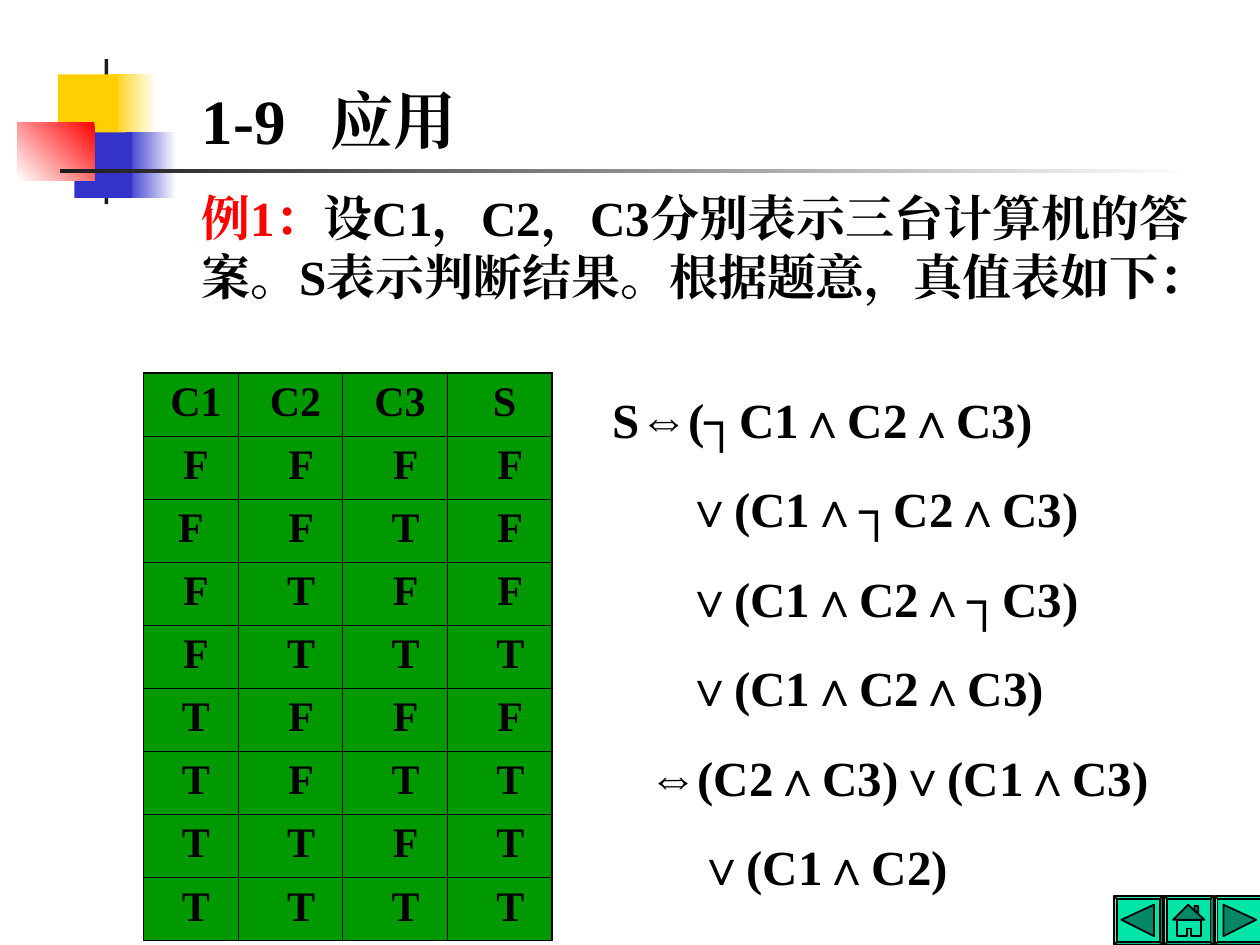
from dataclasses import dataclass

from lxml import etree
from pptx import Presentation
from pptx.dml.color import RGBColor
from pptx.enum.shapes import MSO_SHAPE as Shape
from pptx.enum.text import MSO_ANCHOR as Anchor, MSO_AUTO_SIZE as AutoSize, PP_ALIGN as Align
from pptx.oxml.ns import qn
from pptx.util import Inches, Pt


@dataclass(frozen=True)
class Theme:
    font: str = "Times New Roman"
    symbol_font: str = "Arial"
    black: str = "000000"
    white: str = "FFFFFF"
    ink: str = "1C1C1C"
    red: str = "FF0000"
    yellow: str = "FFCF01"
    blue: str = "3333CC"
    cell: str = "009900"
    button: str = "00E4A8"
    icon: str = "008866"
    title: int = 36
    body: int = 28
    table: int = 24
    gap: float = 17.5
    outer: float = 1.08
    inner: float = 0.45


T = Theme()
TRUTH = ["FFFF", "FFTF", "FTFF", "FTTT", "TFFF", "TFTT", "TTFT", "TTTT"]
FORMULA = [
    (0, ["S", "⇔", "(┐C1∧C2∧C3)"]),
    (0.58, ["∨(C1∧┐C2∧C3)"]),
    (0.58, ["∨(C1∧C2∧┐C3)"]),
    (0.58, ["∨(C1∧C2∧C3)"]),
    (0.29, ["⇔", "(C2∧C3)∨(C1∧C3)"]),
    (0.68, ["∨(C1∧C2)"]),
]


def rgb(code):
    return RGBColor.from_string(code)


def box(*lengths):
    return [Inches(v) for v in lengths]


def add_run(p, text, size, color=T.black, font=T.font):
    r = p.add_run()
    r.text = text
    r.font.size, r.font.bold, r.font.name = Pt(size), True, font
    r.font.color.rgb = rgb(color)
    etree.SubElement(r.font._element, qn("a:ea"), typeface=font)


def fill_solid(sp, color):
    sp.shadow.inherit = False
    sp.fill.solid()
    sp.fill.fore_color.rgb = rgb(color)


def add_bar(s, at, *colors, angle=180):
    """A borderless rectangle: one colour is plain, two make a gradient."""
    sp = s.shapes.add_shape(Shape.RECTANGLE, *box(*at))
    fill_solid(sp, colors[0])
    sp.line.fill.background()
    if len(colors) == 2:
        sp.fill.gradient()
        sp.fill.gradient_angle = angle
        for stop, color in zip(sp.fill.gradient_stops, colors):
            stop.color.rgb = rgb(color)


def add_decoration(s):
    add_bar(s, (0.88, 0.59, 0.36, 0.52), T.white, T.yellow)
    add_bar(s, (1, 1.05, 0.4, 0.52), T.white, T.blue)
    add_bar(s, (0.83, 0.47, 0.03, 1.15), T.ink)
    add_bar(s, (0.46, 0.59, 0.48, 0.52), T.yellow)
    add_bar(s, (0.59, 1.05, 0.46, 0.52), T.blue)
    add_bar(s, (0.14, 0.97, 0.61, 0.46), T.red, T.white, angle=225)
    add_bar(s, (0.48, 1.34, 9, 0.03), T.white, T.ink)


def add_icon(s, left, top, points, color=T.icon):
    pts = [(Inches(left + x), Inches(top + y)) for x, y in points]
    builder = s.shapes.build_freeform(*pts[0])
    builder.add_line_segments(pts[1:], close=True)
    sp = builder.convert_to_shape()
    fill_solid(sp, color)
    sp.line.color.rgb, sp.line.width = rgb(T.black), Pt(1)


def add_buttons(s):
    back = [(0.06, 0.19), (0.32, 0.07), (0.32, 0.32)]
    forward = [(0.39 - x, y) for x, y in back]
    chimney = [(0.24, 0.11), (0.24, 0.08), (0.27, 0.08), (0.27, 0.15)]
    roof = [(0.19, 0.07), (0.32, 0.19), (0.07, 0.19)]
    walls = [(0.1, 0.19), (0.29, 0.19), (0.29, 0.32), (0.21, 0.32),
             (0.21, 0.26), (0.18, 0.26), (0.18, 0.32), (0.1, 0.32)]
    home = [(chimney, T.icon), (walls, T.button), (roof, T.icon)]
    top = 7.11
    for i, icons in enumerate([[(back, T.icon)], home, [(forward, T.icon)]]):
        left = 8.84 + 0.4 * i
        sp = s.shapes.add_shape(Shape.BEVEL, *box(left, top, 0.39, 0.39))
        sp.adjustments[0] = 0.06
        fill_solid(sp, T.button)
        sp.line.color.rgb, sp.line.width = rgb(T.black), Pt(1)
        for points, color in icons:
            add_icon(s, left, top, points, color)


def add_title(s):
    sp = s.shapes.title
    sp.left, sp.top, sp.width, sp.height = box(1.3, 0.6, 8.35, 0.7)
    tf = sp.text_frame
    tf.auto_size, tf.vertical_anchor = AutoSize.NONE, Anchor.TOP
    tf.margin_left = Inches(0.3)
    p = tf.paragraphs[0]
    p.alignment = Align.LEFT
    tabs = etree.SubElement(p._p.get_or_add_pPr(), qn("a:tabLst"))
    etree.SubElement(tabs, qn("a:tab"), pos=str(Inches(1.02)), algn="l")
    add_run(p, "1-9\t应用", T.title)


def add_text(s, *at):
    tf = s.shapes.add_textbox(*box(*at)).text_frame
    tf.word_wrap = True
    return tf


def add_example(s):
    tf = add_text(s, 1.3, 1.44, 8.35, 1.51)
    tf.margin_left = Inches(0.3)
    p = tf.paragraphs[0]
    add_run(p, "例1：", T.body, T.red)
    add_run(p, "设C1，C2，C3分别表示三台计算机的答案。S表示判断结果。根据题意，真值表如下：", T.body)


def add_formula(s):
    tf = add_text(s, 4.76, 3.04, 4.96, 4.12)
    for i, (indent, parts) in enumerate(FORMULA):
        p = tf.add_paragraph() if i else tf.paragraphs[0]
        if i:
            p.space_before = Pt(T.gap)
        p._p.get_or_add_pPr().set("marL", str(Inches(indent)))
        for part in parts:
            add_run(p, part, T.body, font=T.symbol_font if part == "⇔" else T.font)


def set_borders(cell, widths):
    tcPr = cell._tc.get_or_add_tcPr()
    for i, (side, width) in enumerate(zip("LRTB", widths)):
        ln = etree.Element(qn(f"a:ln{side}"), w=str(Pt(width)))
        fill = etree.SubElement(ln, qn("a:solidFill"))
        etree.SubElement(fill, qn("a:srgbClr"), val=T.black)
        tcPr.insert(i, ln)


def add_truth_table(s):
    rows = [["C1", "C2", "C3", "S"]] + [list(row) for row in TRUTH]
    last_row, last_col = len(rows) - 1, len(rows[0]) - 1
    table = s.shapes.add_table(len(rows), len(rows[0]), *box(1.14, 2.96, 3.25, 4.48)).table
    table.first_row = table.horz_banding = False
    for col, width in zip(table.columns, [0.75, 0.83, 0.83, 0.83]):
        col.width = Inches(width)
    for i, row in enumerate(rows):
        for j, text in enumerate(row):
            cell = table.cell(i, j)
            cell.margin_left = Inches(0.27 if i and j else 0.18)
            if (i, j) == (2, 0):
                cell.margin_right = Inches(0.18)
            cell.fill.solid()
            cell.fill.fore_color.rgb = rgb(T.cell)
            edges = (j == 0, j == last_col, i == 0, i == last_row)
            set_borders(cell, [T.outer if edge else T.inner for edge in edges])
            p = cell.text_frame.paragraphs[0]
            p.alignment = Align.CENTER
            add_run(p, text, T.table)


def main():
    prs = Presentation()
    prs.slide_width, prs.slide_height = box(10, 7.5)
    s = prs.slides.add_slide(prs.slide_layouts[5])
    add_decoration(s)
    add_buttons(s)
    add_title(s)
    add_example(s)
    add_truth_table(s)
    add_formula(s)
    prs.save("out.pptx")


if __name__ == "__main__":
    main()
